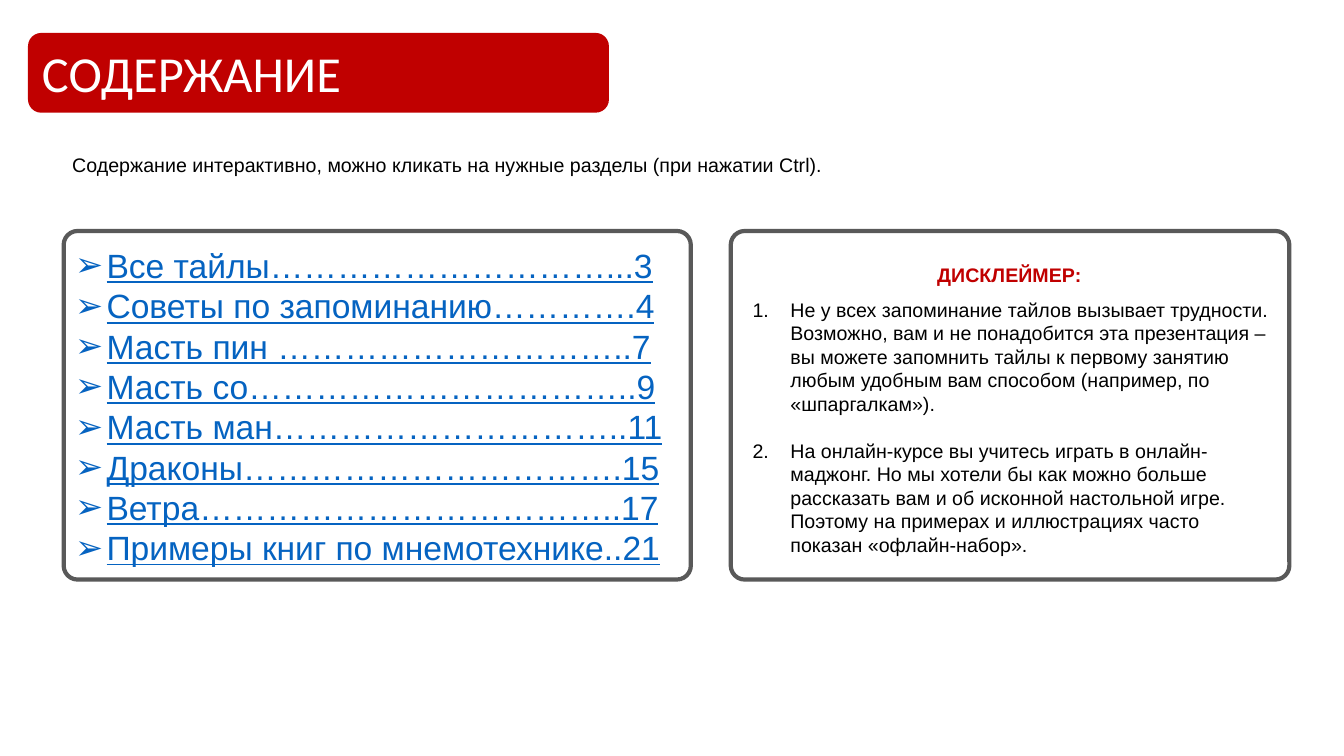
from lxml import etree
from pptx import Presentation
from pptx.dml.color import RGBColor
from pptx.enum import shapes, text
from pptx.oxml.ns import qn
from pptx.util import Pt

RED = RGBColor(0xC0, 0x00, 0x00)
WHITE = RGBColor(0xFF, 0xFF, 0xFF)
BLACK = RGBColor(0x00, 0x00, 0x00)
GREY = RGBColor(0x59, 0x59, 0x59)
BLUE = RGBColor(0x05, 0x63, 0xC1)

TOPICS = [
    "Все тайлы…………………………...3",
    "Советы по запоминанию………….4",
    "Масть пин …………………………..7",
    "Масть со……………………………..9",
    "Масть ман…………………………..11",
    "Драконы…………………………….15",
    "Ветра………………………………..17",
    "Примеры книг по мнемотехнике..21",
]
NOTES = [
    "Не у всех запоминание тайлов вызывает трудности. Возможно, вам и не "
    "понадобится эта презентация –вы можете запомнить тайлы к первому занятию "
    "любым удобным вам способом (например, по «шпаргалкам»).",
    "На онлайн-курсе вы учитесь играть в онлайн- маджонг. Но мы хотели бы как "
    "можно больше рассказать вам и об исконной настольной игре. Поэтому на "
    "примерах и иллюстрациях часто показан «офлайн-набор».",
]


def style(para, size, color, name="Arial"):
    font = para.font
    font.name, font.size = name, Pt(size)
    font.color.rgb = color
    return font


def mark(para, indent, tag, **attrs):
    """Give a paragraph a hanging bullet or number."""
    props = para._p.get_or_add_pPr()
    props.set("marL", str(Pt(indent)))
    props.set("indent", str(-Pt(indent)))
    etree.SubElement(props, qn("a:buFont"), typeface="Arial")
    etree.SubElement(props, qn(tag), **attrs)


def write(slide, box, lines):
    """Add a wrapping text box and return its paragraphs."""
    frame = slide.shapes.add_textbox(*map(Pt, box)).text_frame
    frame.word_wrap = True
    frame.auto_size = text.MSO_AUTO_SIZE.SHAPE_TO_FIT_TEXT
    frame.text = "\n".join(lines)
    return frame.paragraphs


def panel(slide, box, fill=None):
    """Add a rounded panel: filled, or outlined in grey."""
    shape = slide.shapes.add_shape(
        shapes.MSO_SHAPE.ROUNDED_RECTANGLE, *map(Pt, box))
    shape.shadow.inherit = False
    if fill is not None:
        shape.fill.solid()
        shape.fill.fore_color.rgb = fill
        shape.line.fill.background()
    else:
        shape.fill.background()
        shape.line.color.rgb = GREY
        shape.line.width = Pt(3)
        shape.adjustments[0] = 0.04
    return shape


def banner(slide, box):
    frame = panel(slide, box, RED).text_frame
    frame.vertical_anchor = text.MSO_ANCHOR.MIDDLE
    frame.text = "СОДЕРЖАНИЕ"
    para = frame.paragraphs[0]
    para.alignment = text.PP_ALIGN.LEFT
    style(para, 36, WHITE, "Calibri")


def hint(slide, box):
    line = "Содержание интерактивно, можно кликать на нужные разделы (при нажатии Ctrl)."
    style(write(slide, box, [line])[0], 14, BLACK)


def topics(slide, box):
    x, y, w, h = box
    panel(slide, box)
    for para in write(slide, (x + 1, y + 6.5, w + 35, h - 12), TOPICS):
        mark(para, 22.5, "a:buChar", char="➢")
        para.line_spacing = Pt(28.8)
        style(para, 24, BLUE).underline = True


def notes(slide, box):
    x, y, w, h = box
    panel(slide, box)

    # Heading
    head = write(slide, (x + 123, y + 19, 152, 24.5), ["ДИСКЛЕЙМЕР:"])[0]
    head.alignment = text.PP_ALIGN.CENTER
    style(head, 14, RED).bold = True

    # Numbered remarks, one line apart
    paras = write(slide, (x + 8.5, y + 44, w - 14.5, h - 55), NOTES)
    for para in paras:
        mark(para, 27, "a:buAutoNum", type="arabicPeriod")
        para.line_spacing = Pt(16.8)
        style(para, 14, BLACK)
    paras[1].space_before = Pt(16.8)


def main():
    deck = Presentation()
    deck.slide_width, deck.slide_height = Pt(960), Pt(540)
    slide = deck.slides.add_slide(deck.slide_layouts[6])
    banner(slide, (20, 23.5, 415, 57))
    hint(slide, (44.5, 106, 870, 24.5))
    topics(slide, (45.5, 165, 448, 249))
    notes(slide, (522, 165, 399, 249))
    deck.save("out.pptx")


if __name__ == "__main__":
    main()
